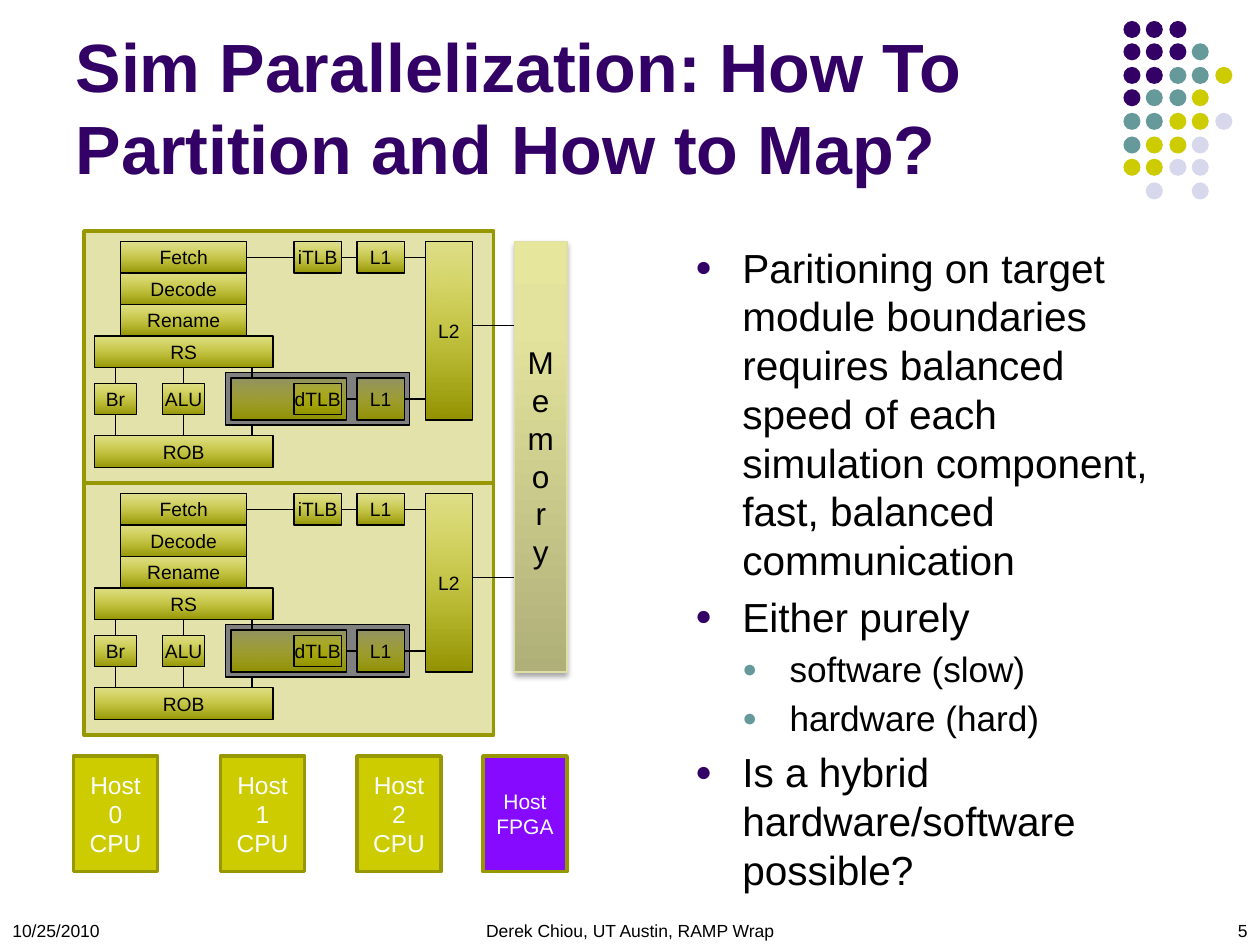
from typing import NamedTuple

from lxml import etree
from pptx import Presentation
from pptx import util as u
from pptx.dml.color import RGBColor
from pptx.enum import shapes, text
from pptx.oxml.ns import qn

PX = 9525  # EMU, 96 px to the inch
FONT = "Arial"
PURPLE, TEAL, LIME, LILAC = "330066", "669999", "CCCC00", "D8D8EC"
BLACK, WHITE, OLIVE = "000000", "FFFFFF", "979700"
CORE_TOPS = (368, 176)


class Box(NamedTuple):
    x: int
    y: int
    w: int
    h: int


class Stop(NamedTuple):
    pos: int
    color: str
    opacity: int = 100


class Block(NamedTuple):
    label: str
    box: Box  # y counts from the top of the core
    top_opacity: int = 20


class Wire(NamedTuple):
    x1: int
    y1: int
    x2: int
    y2: int


class Host(NamedTuple):
    lines: str
    x: int
    fill: str = LIME
    size: int = 14


class Bullet(NamedTuple):
    words: str
    level: int = 0


BLOCKS = (
    Block("Rename", Box(92, 56, 96, 24)),
    Block("RS", Box(72, 80, 136, 24)),
    Block("Br", Box(72, 116, 32, 24)),
    Block("ALU", Box(124, 116, 32, 24)),
    Block("", Box(176, 112, 88, 32)),
    Block("Decode", Box(92, 32, 96, 24)),
    Block("Fetch", Box(92, 8, 96, 24), 13),
    Block("dTLB", Box(224, 116, 36, 24)),
    Block("L2", Box(324, 8, 36, 136)),
    Block("L1", Box(272, 112, 36, 32)),
    Block("iTLB", Box(224, 8, 36, 24), 13),
    Block("L1", Box(272, 8, 36, 24), 13),
    Block("ROB", Box(72, 156, 136, 24)),
)
CORE_WIRES = (
    Wire(88, 104, 88, 116), Wire(140, 104, 140, 116), Wire(192, 104, 192, 112),
    Wire(88, 140, 88, 156), Wire(140, 140, 140, 156), Wire(192, 148, 192, 156),
    Wire(188, 20, 224, 20), Wire(260, 20, 272, 20), Wire(308, 20, 324, 20),
    Wire(264, 128, 272, 128), Wire(308, 128, 324, 128),
)
HOSTS = (
    Host("Host 0\nCPU", 56), Host("Host 1\nCPU", 168), Host("Host 2\nCPU", 272),
    Host("Host\nFPGA", 368, "850AFF", 12),
)
BULLETS = (
    Bullet("Paritioning on target module boundaries requires balanced speed of each "
           "simulation component, fast, balanced communication"),
    Bullet("Either purely"),
    Bullet("software (slow)", 1),
    Bullet("hardware (hard)", 1),
    Bullet("Is a hybrid hardware/software possible?"),
)
DOT_ROWS = ("PPP", "PPPT", "PPTTL", "PTTL", "TTLLV", "TLLV", "LLVV", " V V")
DOT_COLORS = {"P": PURPLE, "T": TEAL, "L": LIME, "V": LILAC}


def rgb(color: str) -> RGBColor:
    return RGBColor.from_string(color)


def emu(box: Box) -> list[int]:
    return [side * PX for side in box]


def child(parent, tag: str, **attributes):
    return etree.SubElement(parent, qn(tag), {k: str(v) for k, v in attributes.items()})


def fill_gradient(shape, stops: list[Stop], angle: int) -> None:
    shape.fill.background()
    no_fill = shape._element.spPr.find(qn("a:noFill"))
    gradient = etree.Element(qn("a:gradFill"), rotWithShape="1")
    stop_list = child(gradient, "a:gsLst")
    for stop in stops:
        color = child(child(stop_list, "a:gs", pos=stop.pos * 1000), "a:srgbClr", val=stop.color)
        if stop.opacity < 100:
            child(color, "a:alpha", val=stop.opacity * 1000)
    child(gradient, "a:lin", ang=angle * 60000, scaled=0)
    no_fill.getparent().replace(no_fill, gradient)


def write(shape, words: str, size: float, color: str, align=text.PP_ALIGN.CENTER,
          bold: bool = False, wrap: bool = True) -> None:
    frame = shape.text_frame
    frame.text = words
    frame.word_wrap = wrap
    for paragraph in frame.paragraphs:
        paragraph.alignment = align
        for run in paragraph.runs:
            style_run(run, size, color, bold)


def style_run(run, size: float, color: str, bold: bool = False) -> None:
    run.font.name, run.font.size, run.font.bold = FONT, u.Pt(size), bold
    run.font.color.rgb = rgb(color)


def add_rect(slide, box: Box, fill: str | list[Stop], line: str, weight: float, angle: int = 90):
    rect = slide.shapes.add_shape(shapes.MSO_SHAPE.RECTANGLE, *emu(box))
    rect.shadow.inherit = False
    if isinstance(fill, str):
        rect.fill.solid()
        rect.fill.fore_color.rgb = rgb(fill)
    else:
        fill_gradient(rect, fill, angle)
    rect.line.color.rgb = rgb(line)
    rect.line.width = u.Pt(weight)
    rect.text_frame.vertical_anchor = text.MSO_ANCHOR.MIDDLE
    return rect


def side_middles(rect, box: Box) -> dict:
    """Map the middle of each side to the rectangle and its connection site."""
    x, y, w, h = box
    points = ((x + w // 2, y), (x, y + h // 2), (x + w // 2, y + h), (x + w, y + h // 2))
    return {point: (rect, site) for site, point in enumerate(points)}


def add_wire(slide, wire: Wire, joints: dict) -> None:
    """Draw a line, joined to a block wherever it ends at the middle of a side."""
    line = slide.shapes.add_connector(shapes.MSO_CONNECTOR.STRAIGHT, *[v * PX for v in wire])
    line.line.color.rgb = rgb(BLACK)
    line.line.width = u.Pt(0.75)
    child(line._element.spPr, "a:effectLst")
    if wire[:2] in joints:
        line.begin_connect(*joints[wire[:2]])
    if wire[2:] in joints:
        line.end_connect(*joints[wire[2:]])


def add_core(slide, top: int) -> None:
    add_rect(slide, Box(172, top + 108, 140, 40), "808080", BLACK, 0.75)
    joints = {}
    for label, box, opacity in BLOCKS:
        placed = box._replace(y=top + box.y)
        rect = add_rect(slide, placed, [Stop(0, LIME, opacity), Stop(100, "929200")], BLACK, 0.75)
        if label:
            write(rect, label, 11, BLACK, wrap=False)
        joints |= side_middles(rect, placed)
    for x1, y1, x2, y2 in CORE_WIRES:
        add_wire(slide, Wire(x1, top + y1, x2, top + y2), joints)


def add_memory(slide) -> None:
    stops = [Stop(0, "AFAF79"), Stop(80, "E3E39D"), Stop(100, "E6E69C")]
    memory = add_rect(slide, Box(392, 184, 40, 328), stops, "DEDEA5", 0.75, angle=270)
    write(memory, "Memor\ny", 18, BLACK)
    shadow = child(memory._element.spPr.find(qn("a:effectLst")), "a:outerShdw",
                   blurRad=u.Pt(3.1), dist=u.Pt(1.8), dir=90 * 60000, rotWithShape=0)
    child(child(shadow, "a:srgbClr", val=BLACK), "a:alpha", val=35000)
    for top in CORE_TOPS:
        add_wire(slide, Wire(360, top + 72, 392, top + 72), {})


def add_dots(slide) -> None:
    dots = slide.shapes.add_group_shape().shapes
    for row, codes in enumerate(DOT_ROWS):
        for column, code in enumerate(codes):
            if code in DOT_COLORS:
                box = Box(856 + 88 * column // 5, 16 + 88 * row // 5, 13, 13)
                dot = dots.add_shape(shapes.MSO_SHAPE.OVAL, *emu(box))
                dot.shadow.inherit = False
                dot.fill.solid()
                dot.fill.fore_color.rgb = rgb(DOT_COLORS[code])
                dot.line.fill.background()


def move(placeholder, box: Box, anchor) -> None:
    placeholder.left, placeholder.top, placeholder.width, placeholder.height = emu(box)
    placeholder.text_frame.vertical_anchor = anchor
    placeholder.text_frame.auto_size = text.MSO_AUTO_SIZE.NONE


def fill_body(body) -> None:
    body.text_frame.text = "\n".join(bullet.words for bullet in BULLETS)
    for paragraph, bullet in zip(body.text_frame.paragraphs, BULLETS):
        paragraph.level = bullet.level
        style_run(paragraph.runs[0], (23.2, 20.1)[bullet.level], BLACK)
        props = paragraph._p.get_or_add_pPr()
        props.set("marL", str(36 * PX * (bullet.level + 1)))
        props.set("indent", str(-36 * PX))
        child(child(props, "a:spcBef"), "a:spcPct", val=20000)
        child(child(props, "a:buClr"), "a:srgbClr", val=(PURPLE, TEAL)[bullet.level])
        child(props, "a:buSzPct", val=70000)
        child(props, "a:buFont", typeface=FONT)
        child(props, "a:buChar", char="●")


def main() -> None:
    deck = Presentation()
    deck.slide_width, deck.slide_height = 960 * PX, 720 * PX
    slide = deck.slides.add_slide(deck.slide_layouts[1])
    title, body = slide.placeholders
    add_dots(slide)
    move(title, Box(48, 12, 792, 136), text.MSO_ANCHOR.BOTTOM)
    write(title, "Sim Parallelization: How To Partition and How to Map?", 39, PURPLE,
          text.PP_ALIGN.LEFT, bold=True)
    move(body, Box(520, 180, 392, 463), text.MSO_ANCHOR.TOP)
    fill_body(body)
    for words, x, w, align in (("10/25/2010", 0, 104, text.PP_ALIGN.LEFT),
                               ("Derek Chiou, UT Austin, RAMP Wrap", 320, 320, text.PP_ALIGN.CENTER),
                               ("5", 872, 88, text.PP_ALIGN.RIGHT)):
        write(slide.shapes.add_textbox(*emu(Box(x, 696, w, 24))), words, 10, BLACK, align)
    for top in CORE_TOPS:
        add_rect(slide, Box(64, top, 312, 192), "E2E2AA", OLIVE, 2)
    for top in reversed(CORE_TOPS):
        add_core(slide, top)
    add_memory(slide)
    for host in HOSTS:
        rect = add_rect(slide, Box(host.x, 576, 64, 88), host.fill, OLIVE, 2)
        write(rect, host.lines, host.size, WHITE)
    deck.save("out.pptx")


if __name__ == "__main__":
    main()
